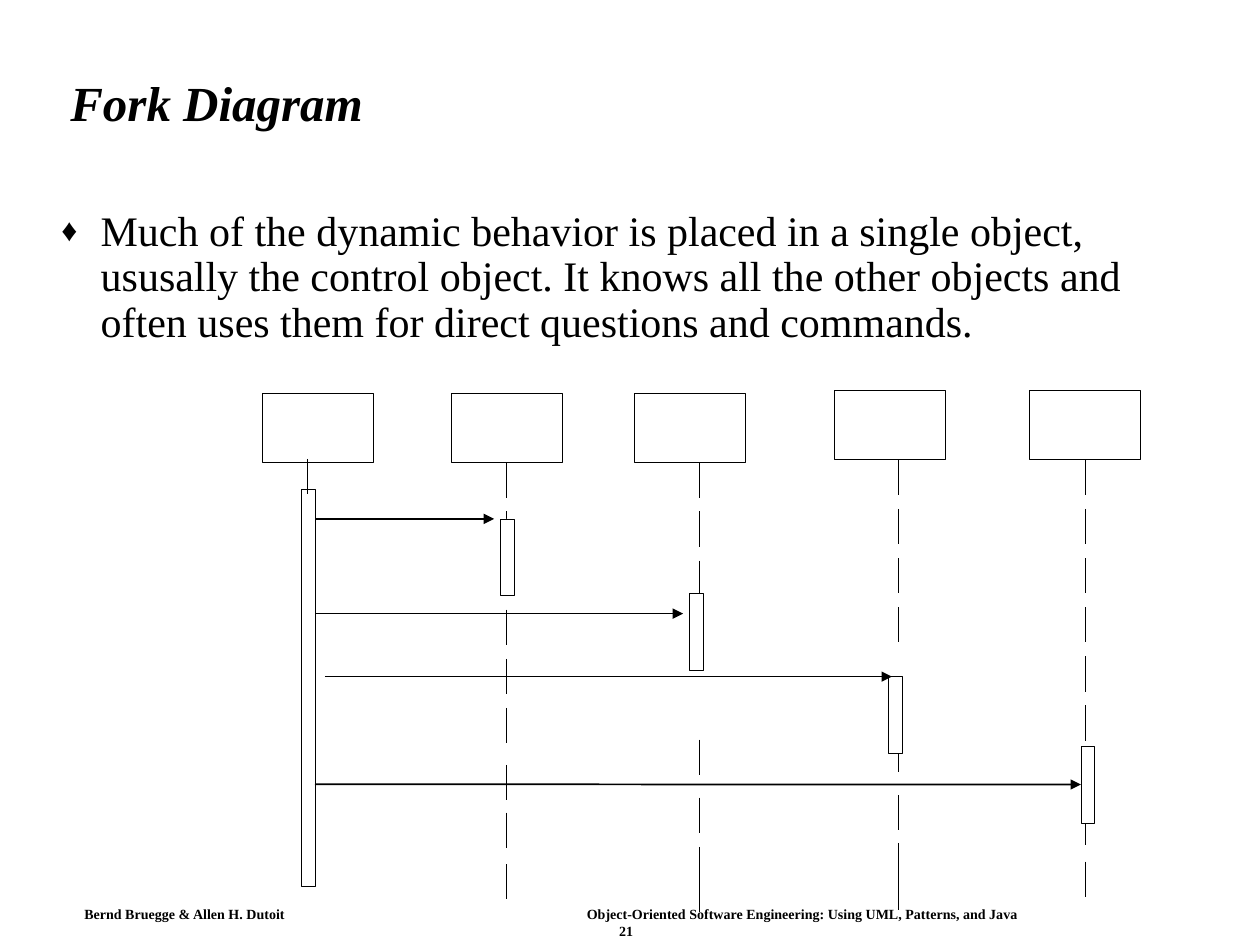
from pptx import Presentation
from pptx.dml.color import RGBColor
from pptx.enum.shapes import MSO_CONNECTOR, MSO_SHAPE
from pptx.enum.text import MSO_ANCHOR, PP_ALIGN
from pptx.oxml.ns import qn
from pptx.util import Cm, Pt
from lxml.etree import SubElement

# Content
TITLE = "Fork Diagram"
BODY = ("Much of the dynamic behavior is placed in a single object, ususally "
        "the control object. It knows all the other objects and often uses "
        "them for direct questions and commands.")
FOOTER = ["Bernd Bruegge & Allen H. Dutoit\tObject-Oriented Software "
          "Engineering: Using UML, Patterns, and Java", "21"]

# Objects in cm: box left and top, lifeline x and evenly spaced dashes
# (first top, count), further dash tops, activation bar left, top, height
OBJECTS = [
    dict(box=(5.28, 7.92), life=6.2, run=(9.25, 1), more=[],
         bar=(6.07, 9.86, 8), fill=False),
    dict(box=(9.09, 7.92), life=10.21, run=(9.32, 6),
         more=[15.42, 16.38, 17.42], bar=(10.08, 10.46, 1.55), fill=True),
    dict(box=(12.78, 7.92), life=14.1, run=(9.32, 3),
         more=[14.91, 16.08, 17.07, 17.68], bar=(13.89, 11.96, 1.55), fill=True),
    dict(box=(16.82, 7.87), life=18.11, run=(9.27, 4),
         more=[14.86, 16.03, 16.99, 17.63], bar=(17.91, 13.64, 1.55), fill=True),
    dict(box=(20.75, 7.87), life=21.87, run=(9.27, 6),
         more=[16.33, 17.37], bar=(21.79, 15.04, 1.55), fill=True),
]
# Messages: start x, end x, y
CALLS = [(6.35, 9.96, 10.46), (6.35, 13.77, 12.37),
         (6.55, 17.98, 13.64), (6.35, 21.79, 15.81)]
BOX_W, BOX_H, BAR_W = 2.24, 1.4, 0.28
DASH, PITCH = 0.71, 0.99

THEME = dict(
    ink=RGBColor(0, 0, 0), paper=RGBColor(255, 255, 255),
    thin=Pt(0.37), thick=Pt(1), face="Times New Roman",
    title=dict(size=Pt(28), bold=True, italic=True),
    body=dict(size=Pt(24)), foot=dict(size=Pt(8), bold=True))

deck = Presentation()
deck.slide_width, deck.slide_height = Cm(25.4), Cm(19.05)
slide = deck.slides.add_slide(deck.slide_layouts[6])
shapes = slide.shapes


def set_all(item, values):
    for name, value in values.items():
        setattr(item, name, value)


def add_text(area, lines, style, pad=(0.25, 0.13), **frame):
    box = shapes.add_textbox(*map(Cm, area)).text_frame
    side, edge = map(Cm, pad)
    set_all(box, dict(word_wrap=True, margin_left=side, margin_right=side,
                      margin_top=edge, margin_bottom=edge, **frame))
    for index, line in enumerate(lines):
        para = box.paragraphs[0] if index == 0 else box.add_paragraph()
        run = para.add_run()
        run.text = line
        set_all(run.font, dict(name=THEME["face"], **THEME[style]))
        run.font.color.rgb = THEME["ink"]
    return box.paragraphs


def add_rect(left, top, width, height, fill=False):
    rect = shapes.add_shape(MSO_SHAPE.RECTANGLE,
                            *map(Cm, (left, top, width, height)))
    rect.shadow.inherit = False
    if fill:
        rect.fill.solid()
        rect.fill.fore_color.rgb = THEME["paper"]
    else:
        rect.fill.background()
    rect.line.color.rgb = THEME["ink"]
    rect.line.width = THEME["thin"]
    return rect


def add_line(start, end, width):
    line = shapes.add_connector(MSO_CONNECTOR.STRAIGHT, *map(Cm, start + end))
    line.line.color.rgb = THEME["ink"]
    line.line.width = THEME[width]
    SubElement(line._element.spPr, qn("a:effectLst"))
    return line


# Title
para = add_text((1.17, 1.14, 22.66, 1.96), [TITLE], "title",
                vertical_anchor=MSO_ANCHOR.MIDDLE)[0]
para.line_spacing = 0.9

# Bulleted statement
para = add_text((0.99, 4.11, 22.94, 3.38), [BODY], "body")[0]
para.line_spacing = 0.9
props = para._p.get_or_add_pPr()
props.set("marL", str(Cm(0.79)))
props.set("indent", str(-Cm(0.79)))
SubElement(props, qn("a:buSzPct"), val="75000")
SubElement(props, qn("a:buFont"), typeface=THEME["face"])
SubElement(props, qn("a:buChar"), char="♦")

# Footer
first, page = add_text((1.5, 18.16, 22.25, 0.84), FOOTER, "foot", (0.2, 0.1))
tabs = SubElement(first._p.get_or_add_pPr(), qn("a:tabLst"))
SubElement(tabs, qn("a:tab"), pos=str(Cm(10.13)), algn="l")
page.alignment = PP_ALIGN.CENTER

# Objects, lifelines and activation bars
bars = []
for part in OBJECTS:
    left, top = part["box"]
    head = add_rect(left, top, BOX_W, BOX_H)
    x = part["life"]
    begin, count = part["run"]
    tops = [begin + PITCH * step for step in range(count)] + part["more"]
    for index, y in enumerate(tops):
        dash = add_line((x, y), (x, y + DASH), "thin")
        if index == 0 and abs(left + BOX_W / 2 - x) < 0.01:
            dash.begin_connect(head, 2)
    bar_x, bar_y, bar_h = part["bar"]
    bars.append(add_rect(bar_x, bar_y, BAR_W, bar_h, part["fill"]))

# Messages from the control object
for x1, x2, y in CALLS:
    call = add_line((x1, y), (x2, y), "thick")
    SubElement(call.line._get_or_add_ln(), qn("a:tailEnd"), type="triangle")
call.end_connect(bars[-1], 1)

deck.save("out.pptx")
